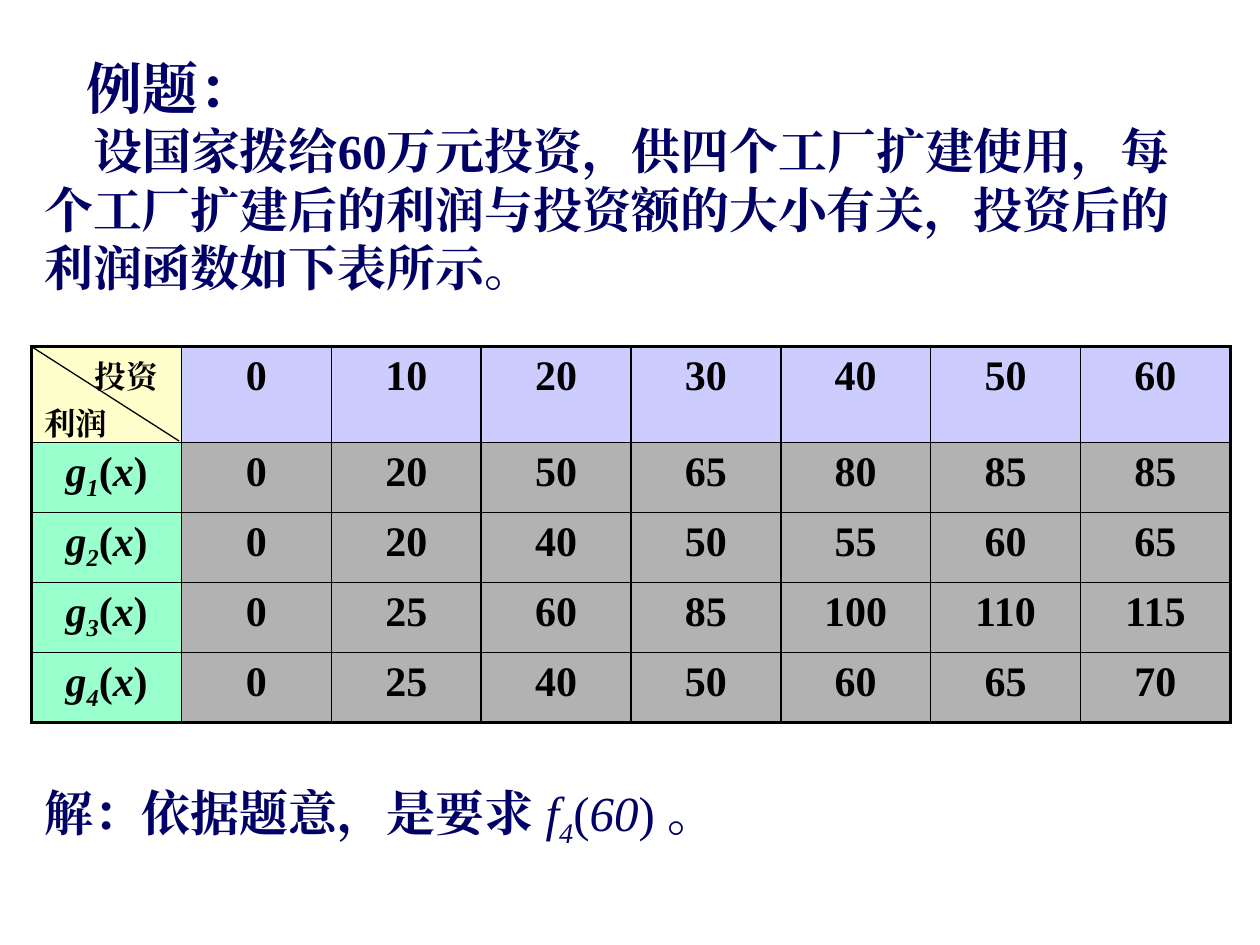
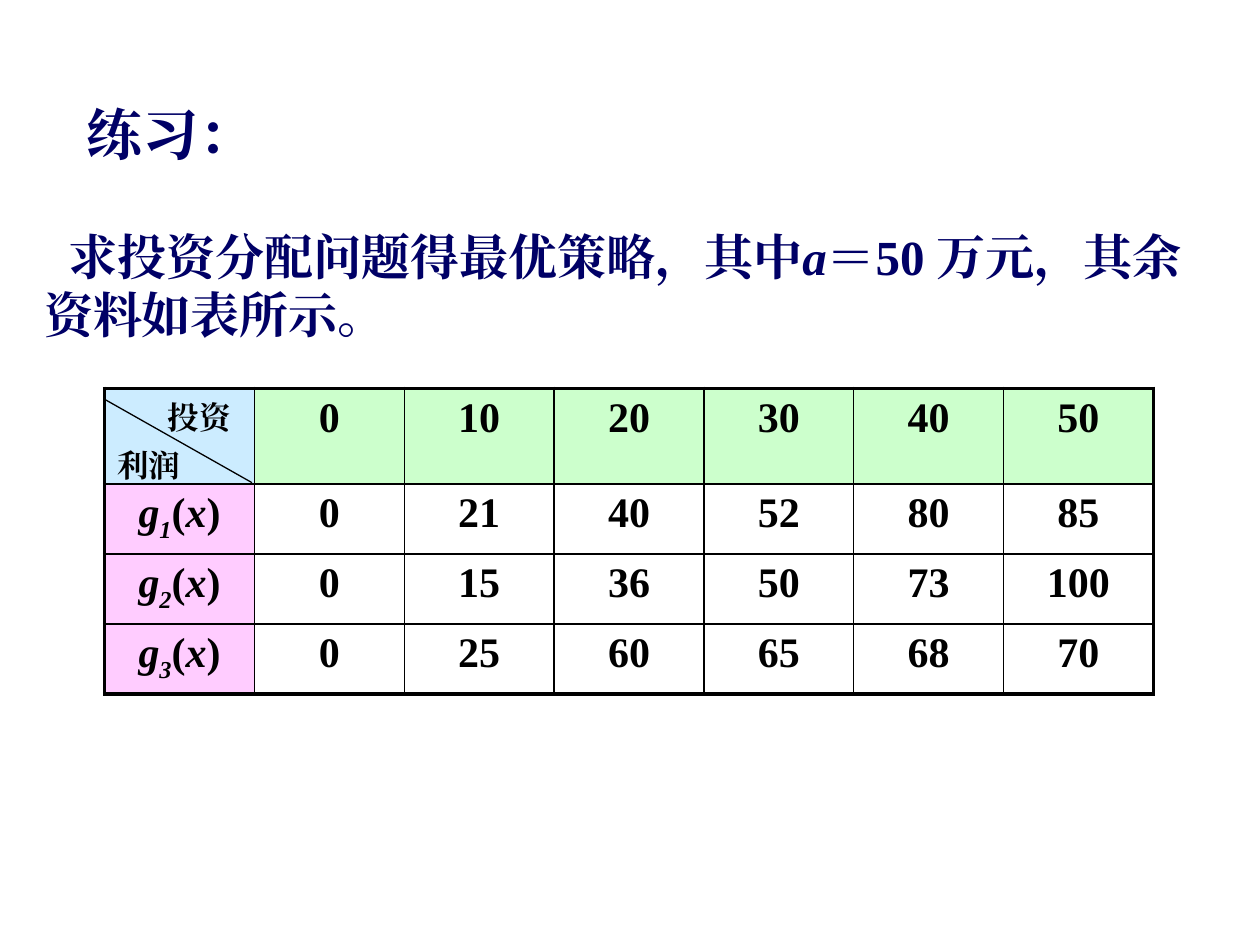
from dataclasses import dataclass

from lxml import etree
from pptx import Presentation
from pptx.dml.color import RGBColor
from pptx.enum.shapes import MSO_CONNECTOR
from pptx.enum.text import PP_ALIGN
from pptx.oxml.ns import qn
from pptx.util import Cm, Pt

STRAIGHT = MSO_CONNECTOR.STRAIGHT
LEFT, CENTER = PP_ALIGN.LEFT, PP_ALIGN.CENTER

FONT = "Times New Roman"
NAVY = RGBColor(0x00, 0x00, 0x66)
BLACK = RGBColor(0x00, 0x00, 0x00)
WHITE = RGBColor(0xFF, 0xFF, 0xFF)
CREAM = RGBColor(0xFF, 0xFF, 0xCC)
LAVENDER = RGBColor(0xCC, 0xCC, 0xFF)
MINT = RGBColor(0x99, 0xFF, 0xCC)
GREY = RGBColor(0xB2, 0xB2, 0xB2)
SKY = RGBColor(0xCC, 0xEC, 0xFF)
PALE_GREEN = RGBColor(0xCC, 0xFF, 0xCC)
PINK = RGBColor(0xFF, 0xCC, 0xFF)

TEXT_LEFT, TEXT_WIDTH = Cm(0.64), Cm(24.13)
COLUMN_WIDTH = Cm(3.02)
HEADER_HEIGHT, ROW_HEIGHT = Cm(1.93), Cm(1.41)
THIN, THICK = Pt(1), Pt(2.25)


@dataclass
class Span:
    text: str
    bold: bool = True
    italic: bool = False
    lowered: bool = False


@dataclass
class Line:
    """One paragraph with its format."""
    spans: list[Span]
    size: float
    color: RGBColor = NAVY
    align: int = LEFT
    indent: float = 0
    pitch: float | None = None
    before: float | None = None


@dataclass
class ProfitTable:
    left: float
    top: float
    investments: list[int]
    profits: list[list[int]]
    corner_fill: RGBColor
    header_fill: RGBColor
    label_fill: RGBColor
    value_fill: RGBColor
    diagonal_drop: float = 0


def write_lines(frame, lines: list[Line]) -> None:
    for index, line in enumerate(lines):
        para = frame.add_paragraph() if index else frame.paragraphs[0]
        para_format = {"alignment": line.align}
        if line.pitch:
            para_format["line_spacing"] = Pt(line.pitch)
        if line.before:
            para_format["space_before"] = Pt(line.before)
        for name, value in para_format.items():
            setattr(para, name, value)
        if line.indent:
            para._p.get_or_add_pPr().set("indent", str(Cm(line.indent)))
        for part in line.spans:
            span = para.add_run()
            span.text = part.text
            span_format = {"name": FONT, "size": Pt(line.size),
                           "bold": part.bold, "italic": part.italic}
            for name, value in span_format.items():
                setattr(span.font, name, value)
            span.font.color.rgb = line.color
            properties = span._r.get_or_add_rPr()
            if part.lowered:
                properties.set("baseline", "-25000")
            etree.SubElement(properties, qn("a:ea")).set("typeface", FONT)


def add_text(page, top: float, height: float, lines: list[Line]) -> None:
    box = page.shapes.add_textbox(TEXT_LEFT, Cm(top), TEXT_WIDTH, Cm(height))
    box.text_frame.word_wrap = True
    write_lines(box.text_frame, lines)


def add_border(cell, side: str, width: int) -> None:
    border = etree.SubElement(cell._tc.get_or_add_tcPr(), qn(f"a:ln{side}"))
    border.set("w", str(width))
    fill = etree.SubElement(border, qn("a:solidFill"))
    etree.SubElement(fill, qn("a:srgbClr")).set("val", str(BLACK))


def function_label(number: int) -> list[Span]:
    return [Span("g", italic=True), Span(str(number), italic=True, lowered=True),
            Span("("), Span("x", italic=True), Span(")")]


def cell_line(spans: list[Span]) -> Line:
    return Line(spans, 24, BLACK, CENTER)


def add_profit_table(page, data: ProfitTable) -> None:
    row_count, column_count = len(data.profits) + 1, len(data.investments) + 1
    left, top = Cm(data.left), Cm(data.top)
    table = page.shapes.add_table(
        row_count, column_count, left, top, COLUMN_WIDTH * column_count,
        HEADER_HEIGHT + ROW_HEIGHT * (row_count - 1)).table
    table.first_row = table.horz_banding = False
    for column in table.columns:
        column.width = COLUMN_WIDTH
    for index, row in enumerate(table.rows):
        row.height = ROW_HEIGHT if index else HEADER_HEIGHT

    corner = [Line([Span("投资")], 18, BLACK, indent=1.02, pitch=24),
              Line([Span("利润")], 18, BLACK, pitch=24, before=3)]
    for r in range(row_count):
        for c in range(column_count):
            cell = table.cell(r, c)
            if r == 0 and c == 0:
                lines, fill = corner, data.corner_fill
                cell.margin_bottom = 0
            elif r == 0:
                lines = [cell_line([Span(str(data.investments[c - 1]))])]
                fill = data.header_fill
            elif c == 0:
                lines, fill = [cell_line(function_label(r))], data.label_fill
            else:
                lines = [cell_line([Span(str(data.profits[r - 1][c - 1]))])]
                fill = data.value_fill
            write_lines(cell.text_frame, lines)
            # Thick frame outside, thin grid inside
            outer = {"L": c == 0, "R": c == column_count - 1,
                     "T": r == 0, "B": r == row_count - 1}
            for side, is_outer in outer.items():
                add_border(cell, side, THICK if is_outer else THIN)
            cell.fill.solid()
            cell.fill.fore_color.rgb = fill

    # Diagonal of the corner cell
    diagonal = page.shapes.add_connector(
        STRAIGHT, left, top + Cm(data.diagonal_drop),
        left + Cm(2.97), top + Cm(1.9))
    diagonal.line.color.rgb = BLACK
    diagonal.line.width = Pt(0.75)
    etree.SubElement(diagonal._element.spPr, qn("a:effectLst"))


def heading(text: str) -> Line:
    return Line([Span(text)], 32, indent=0.85, pitch=38)


def body(spans: list[Span], indent: float, before: float | None = None) -> Line:
    return Line(spans, 28, indent=indent, pitch=33.5, before=before)


def build_example(page) -> None:
    add_text(page, 0.97, 5.16, [
        heading("例题："),
        body([Span("设国家拨给60万元投资，供四个工厂扩建使用，每个工厂扩建后的利润"
                   "与投资额的大小有关，投资后的利润函数如下表所示。")], 0.99)])
    add_profit_table(page, ProfitTable(
        0.64, 6.99, list(range(0, 70, 10)),
        [[0, 20, 50, 65, 80, 85, 85],
         [0, 20, 40, 50, 55, 60, 65],
         [0, 25, 60, 85, 100, 110, 115],
         [0, 25, 40, 50, 60, 65, 70]],
        CREAM, LAVENDER, MINT, GREY))
    add_text(page, 15.65, 1.45, [Line([
        Span("解：依据题意，是要求 "), Span("f", False, True),
        Span("4", False, True, True), Span("(", False),
        Span("60", False, True), Span(") ", False), Span("。")], 28)])


def build_exercise(page) -> None:
    add_text(page, 1.9, 5.16, [
        heading("练习："),
        body([Span("求投资分配问题得最优策略，其中"), Span("a", italic=True),
              Span("＝50 万元，其余资料如表所示。")], 0.49, before=34)])
    add_profit_table(page, ProfitTable(
        2.11, 7.83, list(range(0, 60, 10)),
        [[0, 21, 40, 52, 80, 85],
         [0, 15, 36, 50, 73, 100],
         [0, 25, 60, 65, 68, 70]],
        SKY, PALE_GREEN, PINK, WHITE, diagonal_drop=0.22))


def main() -> None:
    deck = Presentation()
    deck.slide_width, deck.slide_height = Cm(25.4), Cm(19.05)
    blank = deck.slide_layouts[6]
    for build in (build_example, build_exercise):
        build(deck.slides.add_slide(blank))
    deck.save("out.pptx")


if __name__ == "__main__":
    main()
